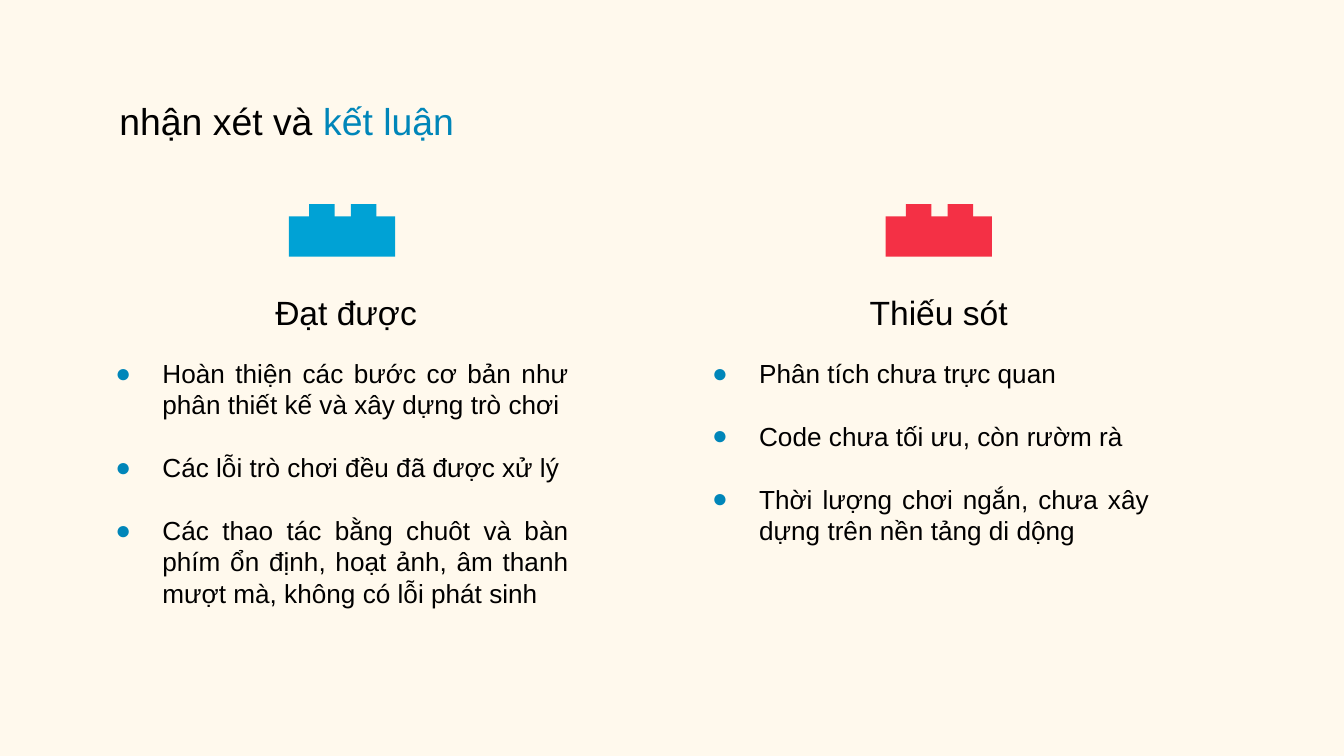
"""Build the remarks and conclusion slide with two bulleted columns."""
from lxml import etree
from pptx import Presentation
from pptx.dml.color import RGBColor
from pptx.enum.shapes import MSO_SHAPE
from pptx.enum.text import MSO_ANCHOR, PP_ALIGN
from pptx.oxml.ns import qn
from pptx.util import Inches, Pt

RECTANGLE = MSO_SHAPE.RECTANGLE
TOP, BOTTOM = MSO_ANCHOR.TOP, MSO_ANCHOR.BOTTOM
CENTER, JUSTIFY = PP_ALIGN.CENTER, PP_ALIGN.JUSTIFY
FONT = "Arial"
COLORS = {
    "background": "FFF9ED",
    "text": "000000",
    "accent": "0086B9",
    "blue": "00A2D5",
    "red": "F43045",
}
COLUMNS = [
    ("Đạt được", "blue", 1.49, 2.15, (0.61, 2.56, 3.98, 2.39), [
        "Hoàn thiện các bước cơ bản như phân thiết kế và xây dựng trò chơi",
        "Các lỗi trò chơi đều đã được xử lý",
        "Các thao tác bằng chuôt và bàn phím ổn định, hoạt ảnh, âm thanh "
        "mượt mà, không có lỗi phát sinh",
    ]),
    ("Thiếu sót", "red", 5.9, 6.59, (5.05, 2.56, 3.86, 1.52), [
        "Phân tích chưa trực quan",
        "Code chưa tối ưu, còn rườm rà",
        "Thời lượng chơi ngắn, chưa xây dựng trên nền tảng di dộng",
    ]),
]


class SlideBuilder:
    """Hold the style and the current slide."""

    def __init__(self, slide):
        self.slide = slide
        fill = slide.background.fill
        fill.solid()
        fill.fore_color.rgb = self.color("background")

    def color(self, name):
        return RGBColor.from_string(COLORS[name])

    def style(self, span, size, color="text"):
        span.font.name = FONT
        span.font.size = Pt(size)
        span.font.color.rgb = self.color(color)

    def text_frame(self, bounds, anchor=TOP):
        box = self.slide.shapes.add_textbox(*map(Inches, bounds))
        frame = box.text_frame
        frame.word_wrap = True
        frame.vertical_anchor = anchor
        frame.margin_left = frame.margin_right = Inches(0.1)
        frame.margin_top = frame.margin_bottom = Inches(0.1)
        return frame

    def line(self, bounds, spans, size, align, anchor=TOP):
        para = self.text_frame(bounds, anchor).paragraphs[0]
        para.alignment = align
        for text, color in spans:
            span = para.add_run()
            span.text = text
            self.style(span, size, color)

    def add_bullet(self, para):
        properties = para._p.get_or_add_pPr()
        properties.set("marL", str(Inches(0.5)))
        properties.set("marR", str(Inches(0.26)))
        properties.set("indent", str(Inches(-0.35)))
        bullet_color = etree.SubElement(properties, qn("a:buClr"))
        etree.SubElement(bullet_color, qn("a:srgbClr"), val=COLORS["accent"])
        etree.SubElement(properties, qn("a:buFont"), typeface=FONT)
        etree.SubElement(properties, qn("a:buChar"), char="●")

    def bullets(self, bounds, items):
        frame = self.text_frame(bounds)
        frame.text = "\n".join(items)
        for index, para in enumerate(frame.paragraphs):
            self.add_bullet(para)
            para.alignment = JUSTIFY
            if index:
                para.space_before = Pt(16.8)
            self.style(para.runs[0], 14)

    def brick(self, left, top, color):
        group = self.slide.shapes.add_group_shape()
        parts = [(0, 0.09, 0.79, 0.3)]
        parts += [(offset, 0, 0.19, 0.17) for offset in (0.15, 0.46)]
        for x, y, width, height in parts:
            bounds = map(Inches, (left + x, top + y, width, height))
            part = group.shapes.add_shape(RECTANGLE, *bounds)
            part.shadow.inherit = False
            part.fill.solid()
            part.fill.fore_color.rgb = self.color(color)
            part.line.fill.background()


def main():
    deck = Presentation()
    deck.slide_width = Inches(10)
    deck.slide_height = deck.slide_width * 9 // 16
    page = SlideBuilder(deck.slides.add_slide(deck.slide_layouts[6]))
    title = [("nhận xét và ", "text"), ("kết luận", "accent")]
    page.line((0.79, 0.63, 8.43, 0.52), title, 20, JUSTIFY)
    for heading, color, heading_left, brick_left, bounds, items in COLUMNS:
        page.brick(brick_left, 1.52, color)
        page.line((heading_left, 2.05, 2.17, 0.52), [(heading, "text")],
                  18, CENTER, BOTTOM)
        page.bullets(bounds, items)
    deck.save("out.pptx")


if __name__ == "__main__":
    main()
